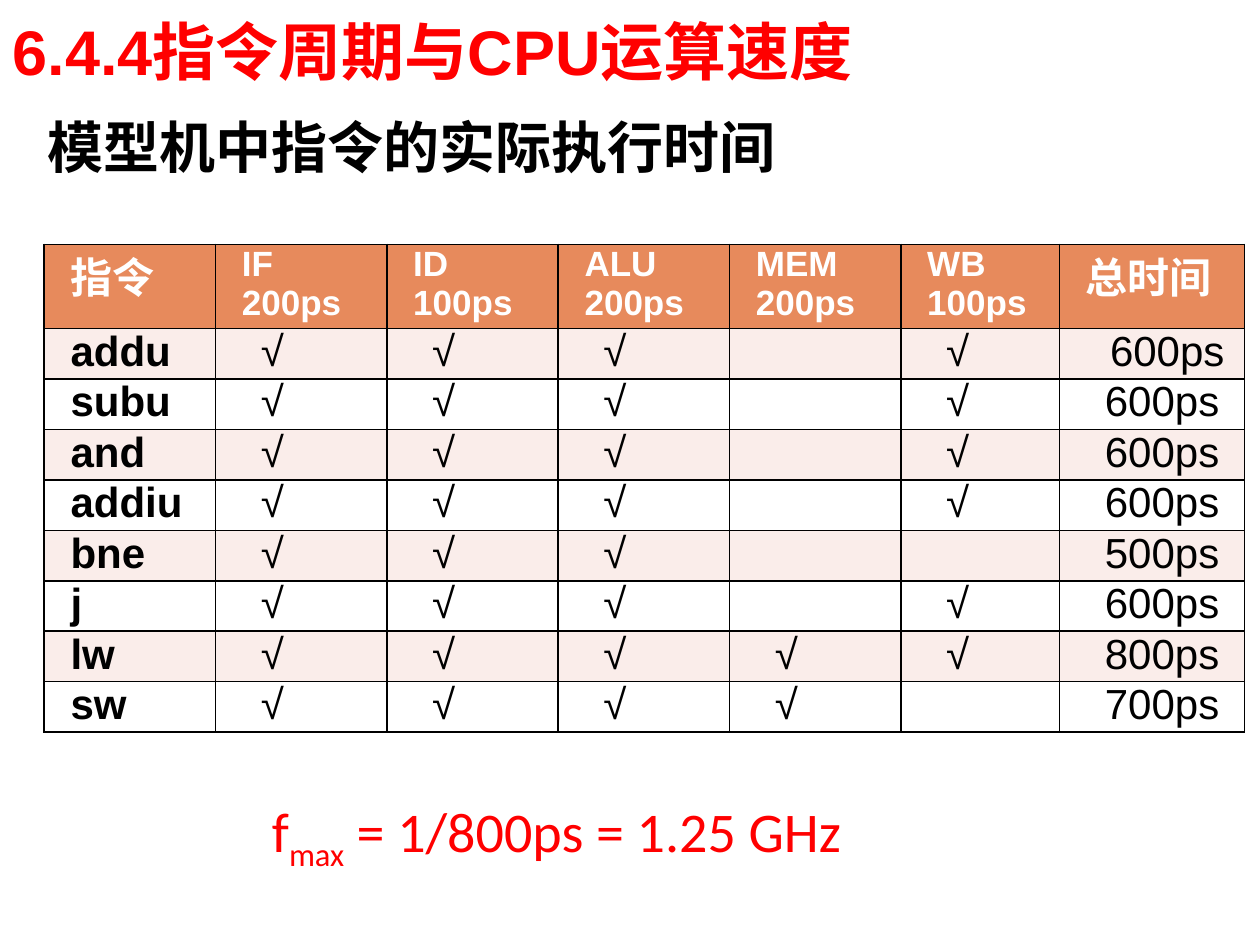
from dataclasses import dataclass
from typing import Any

from lxml import etree
from pptx import Presentation
from pptx.dml.color import RGBColor
from pptx.enum.text import MSO_ANCHOR, MSO_AUTO_SIZE, PP_ALIGN
from pptx.oxml.ns import qn
from pptx.util import Inches, Pt

LEFT, CENTER, JUSTIFY = PP_ALIGN.LEFT, PP_ALIGN.CENTER, PP_ALIGN.JUSTIFY
MIDDLE = MSO_ANCHOR.MIDDLE
NO_FIT, GROW = MSO_AUTO_SIZE.NONE, MSO_AUTO_SIZE.SHAPE_TO_FIT_TEXT

COLORS = {"red": "FF0000", "black": "000000", "white": "FFFFFF",
          "header": "E78A5C", "band": "FAEDEA"}
COLUMN_WIDTHS = [1.36] * 5 + [1.26, 1.47]
HEADER_HEIGHT, ROW_HEIGHT = 0.62, 0.37
NEAR, FAR, TOTAL = 0.14, 0.29, 0.24


@dataclass
class Stage:
    name: str
    time: int


@dataclass
class Instruction:
    name: str
    stages: str
    total: int


STAGES = [Stage("IF", 200), Stage("ID", 100), Stage("ALU", 200),
          Stage("MEM", 200), Stage("WB", 100)]
INSTRUCTIONS = [
    Instruction("addu", "IF ID ALU WB", 600),
    Instruction("subu", "IF ID ALU WB", 600),
    Instruction("and", "IF ID ALU WB", 600),
    Instruction("addiu", "IF ID ALU WB", 600),
    Instruction("bne", "IF ID ALU", 500),
    Instruction("j", "IF ID ALU WB", 600),
    Instruction("lw", "IF ID ALU MEM WB", 800),
    Instruction("sw", "IF ID ALU MEM", 700),
]


def add_run(p: Any, text: str, size: int, color: str, bold: bool = False,
            name: str = "Arial") -> Any:
    r = p.add_run()
    r.text = text
    for key, value in {"size": Pt(size), "bold": bold, "name": name}.items():
        setattr(r.font, key, value)
    r.font.color.rgb = RGBColor.from_string(COLORS[color])
    return r


def indent(p: Any, first_line: float, align: Any = JUSTIFY) -> None:
    p.alignment = align
    pPr = p._p.get_or_add_pPr()
    pPr.set("marL", "0")
    pPr.set("indent", str(Inches(first_line)))


def style_cell(cell: Any, fill: str) -> None:
    margins = {"margin_left": 0.07, "margin_right": 0.07,
               "margin_top": 0, "margin_bottom": 0}
    for key, value in margins.items():
        setattr(cell, key, Inches(value))
    tcPr = cell._tc.get_or_add_tcPr()
    for side in ("a:lnL", "a:lnR", "a:lnT", "a:lnB"):
        ln = etree.SubElement(tcPr, qn(side), w=str(Pt(1)))
        solid = etree.SubElement(ln, qn("a:solidFill"))
        etree.SubElement(solid, qn("a:srgbClr"), val=COLORS["black"])
    cell.fill.solid()
    cell.fill.fore_color.rgb = RGBColor.from_string(COLORS[fill])


def write_cell(cell: Any, lines: list[str], first_line: float, size: int,
               color: str, bold: bool, align: Any = JUSTIFY) -> None:
    tf = cell.text_frame
    for i, line in enumerate(lines):
        p = tf.paragraphs[0] if i == 0 else tf.add_paragraph()
        indent(p, first_line, align)
        add_run(p, line, size, color, bold)


def add_timing_table(s: Any) -> None:
    heights = [HEADER_HEIGHT] + [ROW_HEIGHT] * len(INSTRUCTIONS)
    table = s.shapes.add_table(
        len(heights), len(COLUMN_WIDTHS), Inches(0.35), Inches(1.94),
        Inches(sum(COLUMN_WIDTHS)), Inches(sum(heights))).table
    for column, width in zip(table.columns, COLUMN_WIDTHS):
        column.width = Inches(width)
    for i, (row, height) in enumerate(zip(table.rows, heights)):
        row.height = Inches(height)
        fill = "header" if i == 0 else "band" if i % 2 else "white"
        for cell in row.cells:
            style_cell(cell, fill)

    last = len(COLUMN_WIDTHS) - 1
    write_cell(table.cell(0, 0), ["指令"], NEAR, 24, "white", True)
    write_cell(table.cell(0, last), ["总时间"], NEAR, 24, "white", True)
    for col, stage in enumerate(STAGES, 1):
        write_cell(table.cell(0, col), [stage.name, f"{stage.time}ps"],
                   NEAR, 20, "white", True)
    for row, item in enumerate(INSTRUCTIONS, 1):
        write_cell(table.cell(row, 0), [item.name], NEAR, 24, "black", True)
        for col, stage in enumerate(STAGES, 1):
            if stage.name in item.stages.split():
                write_cell(table.cell(row, col), ["√"], FAR, 24, "black", False)
        first_line, align = (TOTAL, CENTER) if row == 1 else (FAR, JUSTIFY)
        write_cell(table.cell(row, last), [f"{item.total}ps"], first_line,
                   24, "black", False, align)


def add_title(s: Any) -> None:
    sp = s.shapes.title
    frame = {"left": 0, "top": 0, "width": 8.54, "height": 0.8}
    for key, value in frame.items():
        setattr(sp, key, Inches(value))
    tf = sp.text_frame
    tf.auto_size, tf.vertical_anchor = NO_FIT, MIDDLE
    p = tf.paragraphs[0]
    p.alignment = LEFT
    add_run(p, "6.4.4指令周期与CPU运算速度", 36, "red", True)


def add_subtitle(s: Any) -> None:
    sp = s.shapes.add_textbox(Inches(0.28), Inches(0.84), Inches(9.53), Inches(5.67))
    sp.text_frame.word_wrap = True
    add_run(sp.text_frame.paragraphs[0], "模型机中指令的实际执行时间", 32, "black", True)


def add_formula(s: Any) -> None:
    sp = s.shapes.add_textbox(Inches(1.77), Inches(6.27), Inches(5.13), Inches(0.64))
    tf = sp.text_frame
    tf.word_wrap, tf.auto_size = False, GROW
    p = tf.paragraphs[0]
    indent(p, FAR)
    for text, baseline in (("f", 0), ("max", -25000), (" = 1/800ps = 1.25 GHz", 0)):
        r = add_run(p, text, 32, "red", name="Calibri")
        if baseline:
            r.font._element.set("baseline", str(baseline))


def main() -> None:
    prs = Presentation()
    prs.slide_width, prs.slide_height = Inches(10), Inches(7.5)
    s = prs.slides.add_slide(prs.slide_layouts[5])
    add_title(s)
    add_subtitle(s)
    add_timing_table(s)
    add_formula(s)
    prs.save("out.pptx")


if __name__ == "__main__":
    main()
